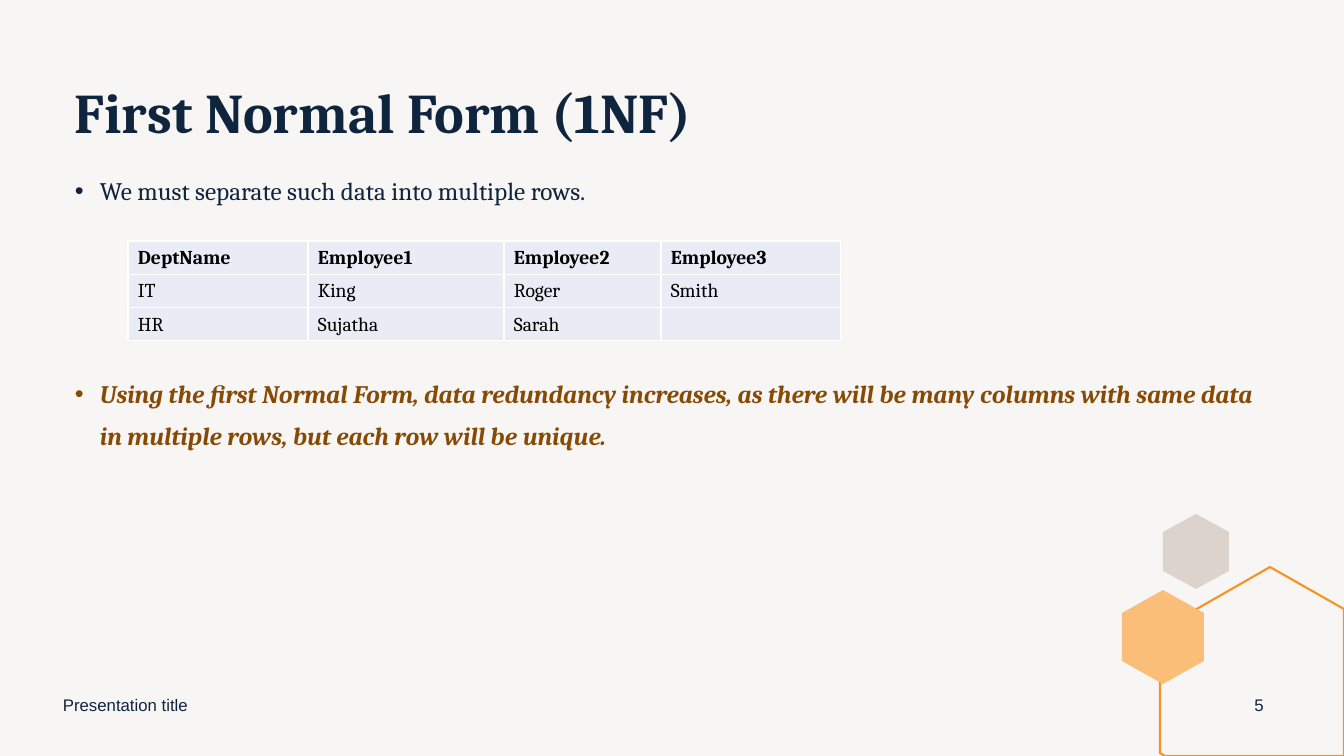
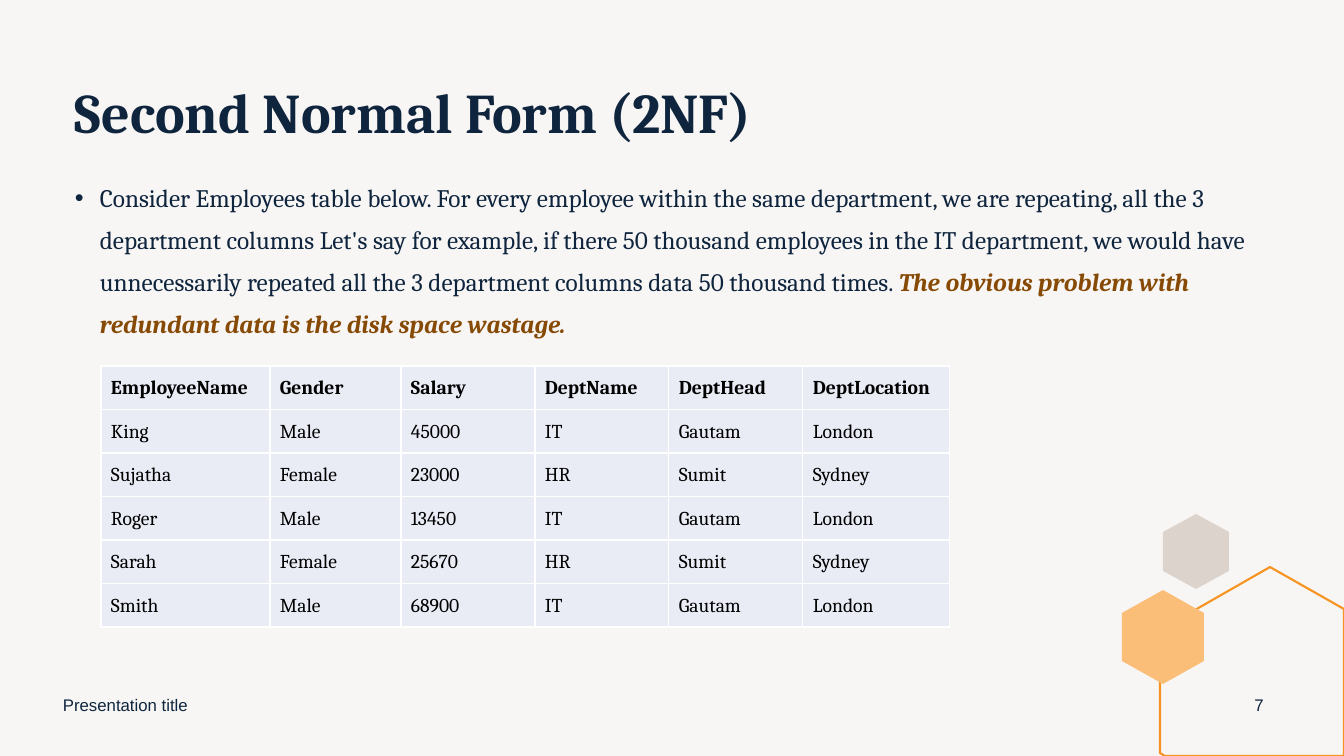
import lxml.etree
import pptx
import pptx.dml.color
import pptx.enum.text
import pptx.oxml.ns
import pptx.util

RGBColor = pptx.dml.color.RGBColor
ALIGN = pptx.enum.text.PP_ALIGN
ANCHOR = pptx.enum.text.MSO_ANCHOR

NAVY = RGBColor(0x0F, 0x25, 0x3E)
BROWN = RGBColor(0x87, 0x4A, 0x05)
BLACK = RGBColor(0x00, 0x00, 0x00)
WHITE = RGBColor(0xFF, 0xFF, 0xFF)
PAPER = RGBColor(0xF8, 0xF6, 0xF5)
TAUPE = RGBColor(0xDC, 0xD3, 0xCC)
ORANGE = RGBColor(0xF7, 0x93, 0x20)
APRICOT = RGBColor(0xFA, 0xBE, 0x79)
CELL_FILL = RGBColor(0xE9, 0xEB, 0xF5)

HEADING_FONT = "Cambria"
FOOTER_FONT = "Arial"
SLIDE_WIDTH, SLIDE_HEIGHT = 1344, 756
EMU_PER_PX = 914400 / 100.8
BULLET_INDENT = 25
CELL_MARGIN = 10

FIRST_FORM_ROWS = [
    ["DeptName", "Employee1", "Employee2", "Employee3"],
    ["IT", "King", "Roger", "Smith"],
    ["HR", "Sujatha", "Sarah", ""],
]
SECOND_FORM_ROWS = [
    ["EmployeeName", "Gender", "Salary", "DeptName", "DeptHead", "DeptLocation"],
    ["King", "Male", "45000", "IT", "Gautam", "London"],
    ["Sujatha", "Female", "23000", "HR", "Sumit", "Sydney"],
    ["Roger", "Male", "13450", "IT", "Gautam", "London"],
    ["Sarah", "Female", "25670", "HR", "Sumit", "Sydney"],
    ["Smith", "Male", "68900", "IT", "Gautam", "London"],
]


def px(length):
    """Turn a length in pixels into EMU."""
    return pptx.util.Emu(round(length * EMU_PER_PX))


def add_child(parent, tag, **attributes):
    """Append a drawing element to an XML parent."""
    return lxml.etree.SubElement(parent, pptx.oxml.ns.qn(tag), attributes)


def add_run(paragraph, text, size, color=NAVY, bold=False, italic=False, font=HEADING_FONT):
    """Add one formatted run to a paragraph."""
    run = paragraph.add_run()
    run.text = text
    run.font.name = font
    run.font.size = pptx.util.Pt(size)
    run.font.color.rgb = color
    run.font.bold = bold
    run.font.italic = italic


def add_text_frame(slide, left, top, width, height, anchor=ANCHOR.TOP):
    """Add a wrapping text box and return its text frame."""
    text_box = slide.shapes.add_textbox(px(left), px(top), px(width), px(height))
    text_frame = text_box.text_frame
    text_frame.word_wrap = True
    text_frame.vertical_anchor = anchor
    return text_frame


def add_title(slide, text):
    """Add the slide title."""
    paragraph = add_text_frame(slide, 65, 80, 1200, 76).paragraphs[0]
    paragraph.line_spacing = 0.9
    add_run(paragraph, text, 40, bold=True)


def add_footer(slide, left, width, text, alignment):
    """Add one footer text at the bottom of the slide."""
    paragraph = add_text_frame(slide, left, 685, width, 40, ANCHOR.MIDDLE).paragraphs[0]
    paragraph.alignment = alignment
    add_run(paragraph, text, 12, font=FOOTER_FONT)


def add_body(slide):
    """Add the body text box and return its text frame."""
    return add_text_frame(slide, 65, 166, 1200, 510)


def format_bullet(paragraph, line_spacing, space_before=10):
    """Give a paragraph its bullet, indent and spacing in points."""
    paragraph.line_spacing = pptx.util.Pt(line_spacing)
    paragraph.space_before = pptx.util.Pt(space_before)
    properties = paragraph._p.get_or_add_pPr()
    properties.set("marL", str(px(BULLET_INDENT)))
    properties.set("indent", str(-px(BULLET_INDENT)))
    add_child(properties, "a:buFont", typeface="Arial")
    add_child(properties, "a:buChar", char="•")


def add_emphasis(paragraph, text):
    """Add a highlighted body run."""
    add_run(paragraph, text, 18, BROWN, bold=True, italic=True)


def add_polygon(slide, points, fill=None, line=None):
    """Add a closed outline through the points."""
    builder = slide.shapes.build_freeform(*points[0], scale=EMU_PER_PX)
    builder.add_line_segments(points[1:], close=True)
    shape = builder.convert_to_shape()
    shape.shadow.inherit = False
    if fill is None:
        shape.fill.background()
    else:
        shape.fill.solid()
        shape.fill.fore_color.rgb = fill
    if line is None:
        shape.line.fill.background()
    else:
        shape.line.color.rgb = line
        shape.line.width = pptx.util.Pt(1.5)


def hexagon_points(center_x, top, half_width, height):
    """Return the corners of an upright hexagon."""
    left, right = center_x - half_width, center_x + half_width
    upper, lower = top + height // 4, top + height - height // 4
    return [(center_x, top), (right, upper), (right, lower),
            (center_x, top + height), (left, lower), (left, upper)]


def add_hexagons(slide):
    """Add the corner decoration."""
    cropped_hexagon = [(1270, 567), (SLIDE_WIDTH, 609), (SLIDE_WIDTH, SLIDE_HEIGHT),
                       (1165, SLIDE_HEIGHT), (1160, 753), (1160, 630)]
    add_polygon(slide, hexagon_points(1196, 514, 33, 75), fill=TAUPE)
    add_polygon(slide, cropped_hexagon, line=ORANGE)
    add_polygon(slide, hexagon_points(1163, 590, 41, 94), fill=APRICOT)


def format_cell(cell, text, bold):
    """Fill, border and write one table cell."""
    properties = cell._tc.get_or_add_tcPr()
    for side in ("L", "R", "T", "B"):
        border = add_child(properties, f"a:ln{side}", w=str(pptx.util.Pt(1)))
        add_child(add_child(border, "a:solidFill"), "a:srgbClr", val=str(WHITE))
    cell.fill.solid()
    cell.fill.fore_color.rgb = CELL_FILL
    cell.vertical_anchor = ANCHOR.MIDDLE
    cell.margin_left = px(CELL_MARGIN)
    cell.margin_right = cell.margin_top = px(1)
    cell.margin_bottom = 0
    add_run(cell.text_frame.paragraphs[0], text, 14, BLACK, bold=bold)


def add_data_table(slide, left, top, height, column_widths, rows):
    """Add a table with a bold first row and equal row heights."""
    frame = slide.shapes.add_table(len(rows), len(column_widths), px(left), px(top),
                                   px(sum(column_widths)), px(height))
    table = frame.table
    table.first_row = False
    table.horz_banding = False
    for column, width in zip(table.columns, column_widths):
        column.width = px(width)
    for row_index, texts in enumerate(rows):
        for column_index, text in enumerate(texts):
            format_cell(table.cell(row_index, column_index), text, row_index == 0)


def add_base_slide(presentation, title, number):
    """Add a slide with the decoration, title and footers."""
    slide = presentation.slides.add_slide(presentation.slide_layouts[6])
    add_hexagons(slide)
    add_title(slide, title)
    add_footer(slide, 53, 454, "Presentation title", ALIGN.LEFT)
    add_footer(slide, 1234, 50, str(number), ALIGN.CENTER)
    return slide


def add_first_form_slide(presentation):
    """Build the slide on the first normal form."""
    slide = add_base_slide(presentation, "First Normal Form (1NF)", 5)
    body = add_body(slide)
    rule = body.paragraphs[0]
    format_bullet(rule, 25)
    add_run(rule, "We must separate such data into multiple rows.", 18)
    consequence = body.add_paragraph()
    format_bullet(consequence, 30, space_before=115)
    add_emphasis(consequence, "Using the first Normal Form, data redundancy increases, as there will be "
                 "many columns with same data in multiple rows, but each row will be unique.")
    add_data_table(slide, 128, 241, 100, [180, 196, 157, 180], FIRST_FORM_ROWS)


def add_second_form_slide(presentation):
    """Build the slide on the second normal form."""
    slide = add_base_slide(presentation, "Second Normal Form (2NF)", 7)
    example = add_body(slide).paragraphs[0]
    format_bullet(example, 30)
    add_run(example, "Consider Employees table below. For every employee within the same department, "
            "we are repeating, all the 3 department columns Let's say for example, if there 50 thousand "
            "employees in the IT department, we would have unnecessarily repeated all the 3 department "
            "columns data 50 thousand times. ", 18)
    add_emphasis(example, "The obvious problem with redundant data is the disk space wastage.")
    add_data_table(slide, 101, 366, 261, [169, 131, 134, 134, 134, 147], SECOND_FORM_ROWS)


def main():
    """Build and save the presentation."""
    presentation = pptx.Presentation()
    presentation.slide_width = px(SLIDE_WIDTH)
    presentation.slide_height = px(SLIDE_HEIGHT)
    background = presentation.slide_master.background.fill
    background.solid()
    background.fore_color.rgb = PAPER
    add_first_form_slide(presentation)
    add_second_form_slide(presentation)
    presentation.save("out.pptx")


if __name__ == "__main__":
    main()
